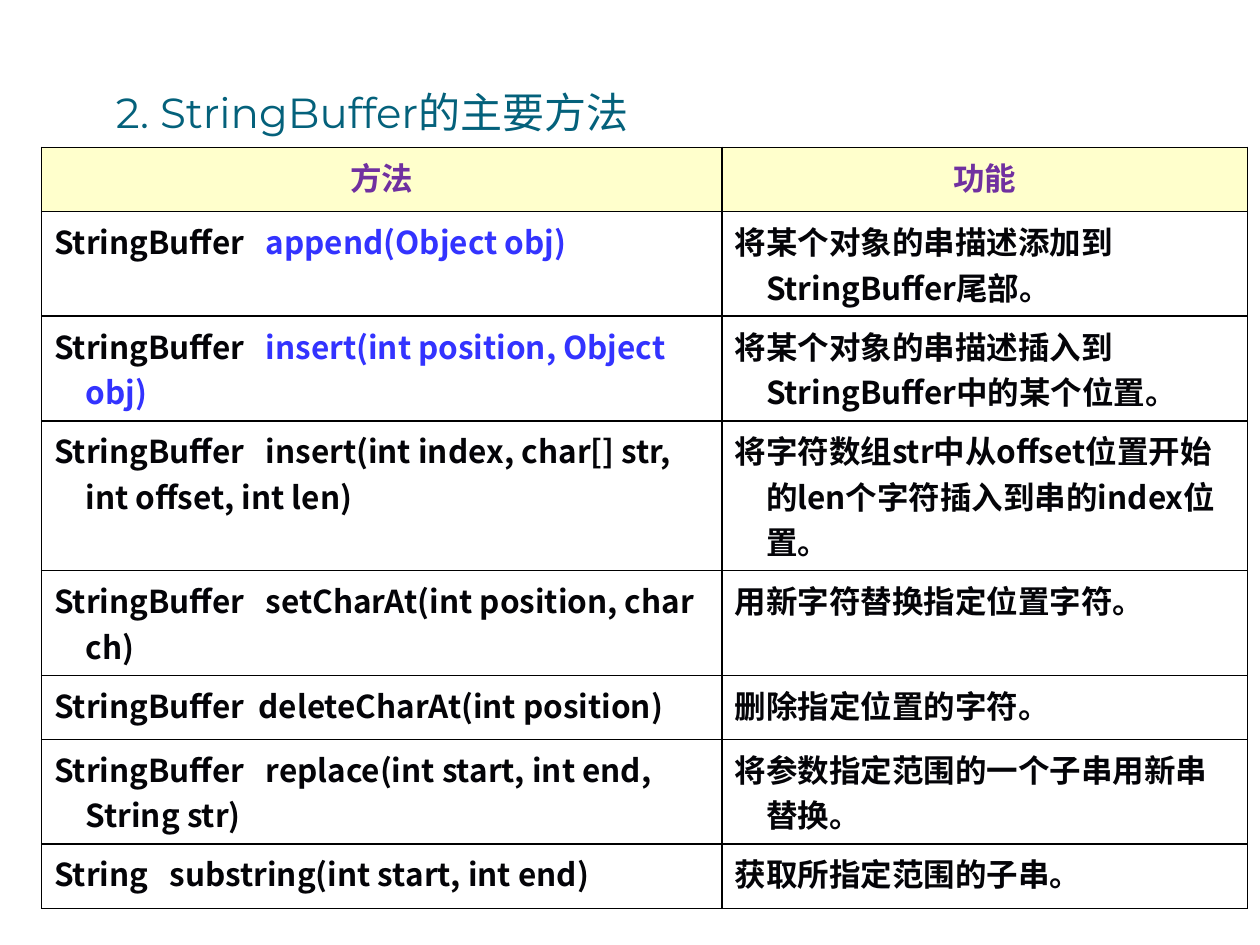
import pptx
import pptx.util
import pptx.dml.color
import pptx.enum.text
import pptx.oxml
import pptx.oxml.ns
from pptx.util import Inches

# Content: return type, signature, signature colour, purpose, lines of text in the row
TITLE = "2. StringBuffer的主要方法"
HEADERS = ("方法", "功能")
METHODS = [
    ("StringBuffer   ", "append(Object obj)", "key",
     "将某个对象的串描述添加到StringBuffer尾部。", 2),
    ("StringBuffer   ", "insert(int position, Object obj)", "key",
     "将某个对象的串描述插入到StringBuffer中的某个位置。", 2),
    ("StringBuffer   ", "insert(int index, char[] str, int offset, int len)", "body",
     "将字符数组str中从offset位置开始的len个字符插入到串的index位置。", 3),
    ("StringBuffer   ", "setCharAt(int position, char ch)", "body",
     "用新字符替换指定位置字符。", 2),
    ("StringBuffer  ", "deleteCharAt(int position)", "body",
     "删除指定位置的字符。", 1),
    ("StringBuffer   ", "replace(int start, int end, String str)", "body",
     "将参数指定范围的一个子串用新串替换。", 2),
    ("String   ", "substring(int start, int end)", "body",
     "获取所指定范围的子串。", 1),
]
ROW_HEIGHTS = {1: 0.51, 2: 0.83, 3: 1.19}  # by lines of text
COLUMN_WIDTHS = (5.4, 4.17)
COLORS = {"title": "04617B", "header": "7030A0", "header_fill": "FFFFCC",
          "body": "040408", "key": "3333FF", "border": "000000"}
TITLE_FONT = "Montserrat"
BODY_FONT = "Noto Sans CJK SC"


def rgb(name):
    return pptx.dml.color.RGBColor.from_string(COLORS[name])


def style_span(span, font, size, color, bold=False):
    span.font.name = font
    span.font.size = pptx.util.Pt(size)
    span.font.bold = bold
    span.font.color.rgb = rgb(color)
    east_asian = pptx.oxml.parse_xml(
        f'<a:ea {pptx.oxml.ns.nsdecls("a")} typeface="{BODY_FONT}"/>')
    span.font._element.find(pptx.oxml.ns.qn("a:latin")).addnext(east_asian)


def add_borders(cell):
    props = cell._tc.get_or_add_tcPr()
    for index, side in enumerate(("lnL", "lnR", "lnT", "lnB")):
        props.insert(index, pptx.oxml.parse_xml(
            f'<a:{side} {pptx.oxml.ns.nsdecls("a")} w="12700"><a:solidFill>'
            f'<a:srgbClr val="{COLORS["border"]}"/></a:solidFill></a:{side}>'))


def fill_cell(cell, parts, fill=None, centered=False):
    """Write (text, colour) parts into one hanging-indent paragraph."""
    para = cell.text_frame.paragraphs[0]
    for text, color in parts:
        span = para.add_run()
        span.text = text
        style_span(span, BODY_FONT, 18, color, bold=True)
    if centered:
        para.alignment = pptx.enum.text.PP_ALIGN.CENTER
    indent = Inches(0.25)
    para_props = para._p.get_or_add_pPr()
    para_props.set("marL", str(indent))
    para_props.set("indent", str(-indent))
    if fill:
        cell.fill.solid()
        cell.fill.fore_color.rgb = rgb(fill)
    else:
        cell.fill.background()
    add_borders(cell)


def add_title(page):
    box = page.shapes.add_textbox(Inches(0.92), Inches(0.42), Inches(8.29), Inches(0.67))
    frame = box.text_frame
    frame.word_wrap = True
    frame.vertical_anchor = pptx.enum.text.MSO_ANCHOR.BOTTOM
    frame.margin_left = frame.margin_right = frame.margin_bottom = 0
    frame.margin_top = Inches(0.05)
    frame.text = TITLE
    style_span(frame.paragraphs[0].runs[0], TITLE_FONT, 24, "title")


def add_method_table(page):
    heights = [ROW_HEIGHTS[lines] for lines in [1] + [method[-1] for method in METHODS]]
    table = page.shapes.add_table(
        len(heights), len(COLUMN_WIDTHS), Inches(0.33), Inches(1.17),
        Inches(sum(COLUMN_WIDTHS)), Inches(sum(heights))).table
    table.first_row = table.horz_banding = False
    for column, width in zip(table.columns, COLUMN_WIDTHS):
        column.width = Inches(width)
    for row, height in zip(table.rows, heights):
        row.height = Inches(height)

    # Header row
    for index, label in enumerate(HEADERS):
        fill_cell(table.cell(0, index), [(label, "header")], "header_fill", centered=True)

    # Method rows
    for index, (result, signature, color, purpose, _) in enumerate(METHODS, start=1):
        if color == "body":
            parts = [(result + signature, color)]
        else:
            parts = [(result, "body"), (signature, color)]
        fill_cell(table.cell(index, 0), parts)
        fill_cell(table.cell(index, 1), [(purpose, "body")])


def main():
    deck = pptx.Presentation()
    deck.slide_width, deck.slide_height = Inches(10), Inches(7.5)
    page = deck.slides.add_slide(deck.slide_layouts[6])
    add_title(page)
    add_method_table(page)
    deck.save("out.pptx")


if __name__ == "__main__":
    main()
